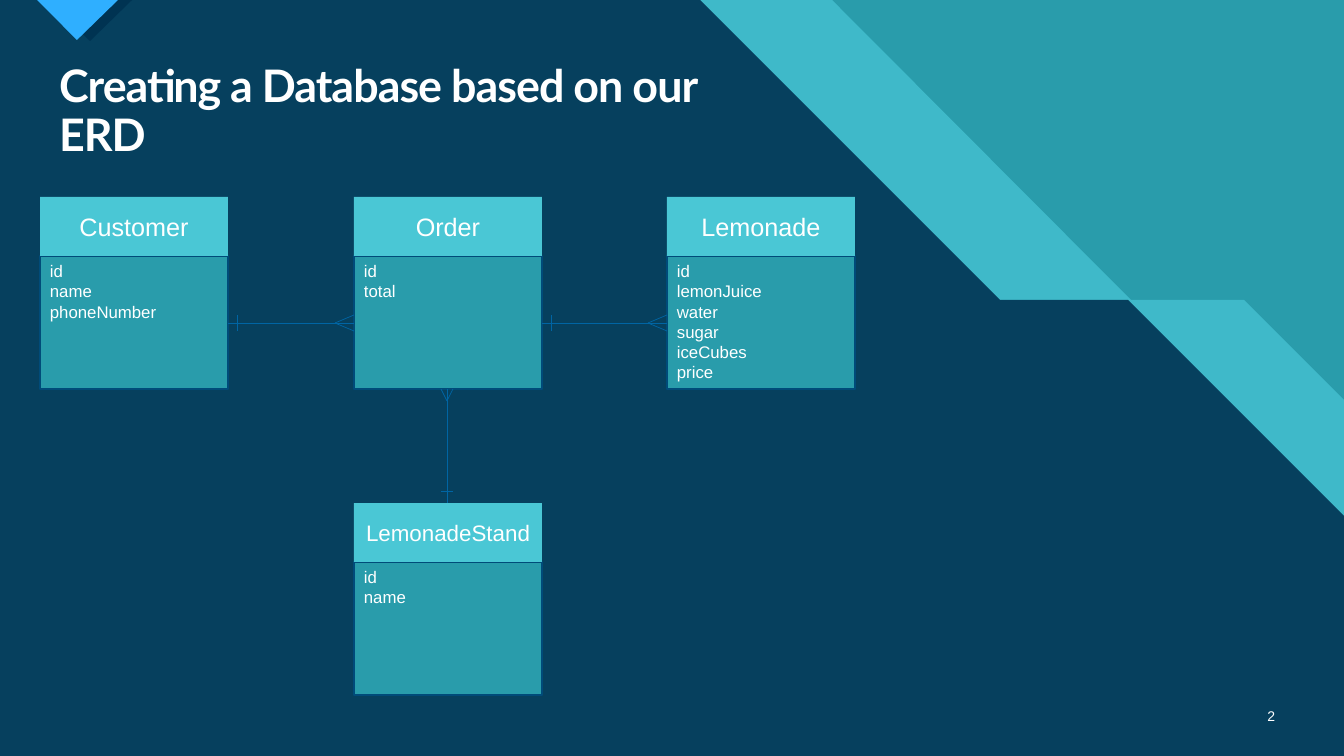
import pptx
import pptx.dml.color
import pptx.enum.shapes
import pptx.enum.text
import pptx.oxml.ns
import pptx.util
from lxml import etree

PX = 12192000 / 1344
COLORS = {
    "background": "299CAB", "band": "3FB9C9", "panel": "06405E",
    "shadow": "003352", "accent": "2FAFFF", "header": "4AC7D5",
    "body": "299CAB", "border": "004B79", "relation": "0065A4",
    "text": "FFFFFF",
}
ALIGN = pptx.enum.text.PP_ALIGN
ANCHOR = pptx.enum.text.MSO_ANCHOR
BOX_WIDTH, HEADER_HEIGHT, BODY_HEIGHT = 188, 59, 133


def px(length):
    return pptx.util.Emu(round(length * PX))


def color(name):
    return pptx.dml.color.RGBColor.from_string(COLORS[name])


def set_all(target, values):
    for name, value in values.items():
        setattr(target, name, value)


class SlideBuilder:
    def __init__(self, presentation):
        self.slide = presentation.slides.add_slide(presentation.slide_layouts[5])
        self.shapes = self.slide.shapes
        background = self.slide.background.fill
        background.solid()
        background.fore_color.rgb = color("background")

    def paint(self, shape, fill, line=None):
        shape.shadow.inherit = False
        shape.fill.solid()
        shape.fill.fore_color.rgb = color(fill)
        if line:
            shape.line.color.rgb = color(line)
            shape.line.width = pptx.util.Pt(1)
        else:
            shape.line.fill.background()

    def set_text(self, shape, text, size, anchor=ANCHOR.MIDDLE, font="Arial",
                 bold=False, **paragraph_format):
        """Fill a shape with one paragraph per line of text."""
        frame = shape.text_frame
        frame.text = text
        set_all(frame, {"word_wrap": True, "vertical_anchor": anchor,
                        "auto_size": pptx.enum.text.MSO_AUTO_SIZE.NONE})
        for paragraph in frame.paragraphs:
            set_all(paragraph, paragraph_format)
            for run in paragraph.runs:
                set_all(run.font, {"name": font, "size": pptx.util.Pt(size),
                                   "bold": bold})
                run.font.color.rgb = color("text")

    def polygon(self, points, fill):
        builder = self.shapes.build_freeform(*points[0], scale=PX)
        builder.add_line_segments(points[1:], close=True)
        self.paint(builder.convert_to_shape(), fill)

    def title(self, text, left, top, width, height):
        """Place the title above the shapes drawn so far."""
        title = self.shapes.title
        title.element.getparent().append(title.element)
        set_all(title, {"left": px(left), "top": px(top),
                        "width": px(width), "height": px(height)})
        self.set_text(title, text, 32, ANCHOR.TOP, "Lato", True,
                      alignment=ALIGN.LEFT, line_spacing=0.9)
        for run in title.text_frame.paragraphs[0].runs:
            run.font._element.set("spc", "-70")

    def label(self, text, left, top, width, height):
        box = self.shapes.add_textbox(px(left), px(top), px(width), px(height))
        self.set_text(box, text, 10, alignment=ALIGN.RIGHT)

    def rectangle(self, left, top, width, height, fill, line=None):
        shape = self.shapes.add_shape(
            pptx.enum.shapes.MSO_SHAPE.RECTANGLE,
            px(left), px(top), px(width), px(height))
        self.paint(shape, fill, line)
        return shape

    def entity(self, name, fields, left, top, size=18):
        body = self.rectangle(left, top + HEADER_HEIGHT, BOX_WIDTH, BODY_HEIGHT,
                              "body", "border")
        self.set_text(body, "\n".join(fields), 12, ANCHOR.TOP,
                      alignment=ALIGN.LEFT, line_spacing=pptx.util.Pt(14.4))
        header = self.rectangle(left, top, BOX_WIDTH, HEADER_HEIGHT, "header")
        self.set_text(header, name, size, alignment=ALIGN.CENTER)

    def line(self, start, end):
        connector = self.shapes.add_connector(
            pptx.enum.shapes.MSO_CONNECTOR.STRAIGHT, *map(px, start + end))
        connector.line.color.rgb = color("relation")
        connector.line.width = pptx.util.Pt(0.5)
        etree.SubElement(connector.element.spPr, pptx.oxml.ns.qn("a:effectLst"))

    def relation(self, one, many, tick, foot, spread):
        """Join two points with a bar at the one end and a crow's foot at the many end."""
        (x1, y1), (x2, y2) = one, many
        length = abs(x2 - x1) + abs(y2 - y1)
        dx, dy = (x2 - x1) // length, (y2 - y1) // length

        def at(along, across):
            return x1 + dx * along - dy * across, y1 + dy * along + dx * across

        self.line(one, many)
        self.line(at(tick, -spread), at(tick, spread))
        for side in (-spread, spread):
            self.line(at(length - foot, 0), at(length, side))


def main():
    presentation = pptx.Presentation()
    set_all(presentation, {"slide_width": px(1344), "slide_height": px(756)})
    builder = SlideBuilder(presentation)

    builder.polygon([(0, 0), (832, 0), (1131, 300), (1244, 300), (1344, 400),
                     (1344, 756), (0, 756)], "band")
    builder.polygon([(0, 0), (700, 0), (1000, 300), (1128, 300), (1344, 516),
                     (1344, 756), (0, 756)], "panel")
    builder.polygon([(48, 0), (132, 0), (90, 41)], "shadow")
    builder.polygon([(37, 0), (118, 0), (77, 40)], "accent")
    builder.title("Creating a Database based on our ERD", 49, 59, 707, 108)
    builder.label("2", 1241, 696, 44, 40)

    builder.entity("Customer", ["id", "name", "phoneNumber"], 40, 197)
    builder.entity("Order", ["id", "total"], 354, 197)
    builder.entity("Lemonade", ["id", "lemonJuice", "water", "sugar",
                                "iceCubes", "price"], 667, 197)
    builder.entity("LemonadeStand", ["id", "name"], 354, 503, size=16)

    builder.relation((228, 323), (354, 323), tick=9, foot=19, spread=8)
    builder.relation((542, 323), (667, 323), tick=9, foot=19, spread=8)
    builder.relation((447, 503), (447, 389), tick=12, foot=12, spread=6)

    presentation.save("out.pptx")


if __name__ == "__main__":
    main()
